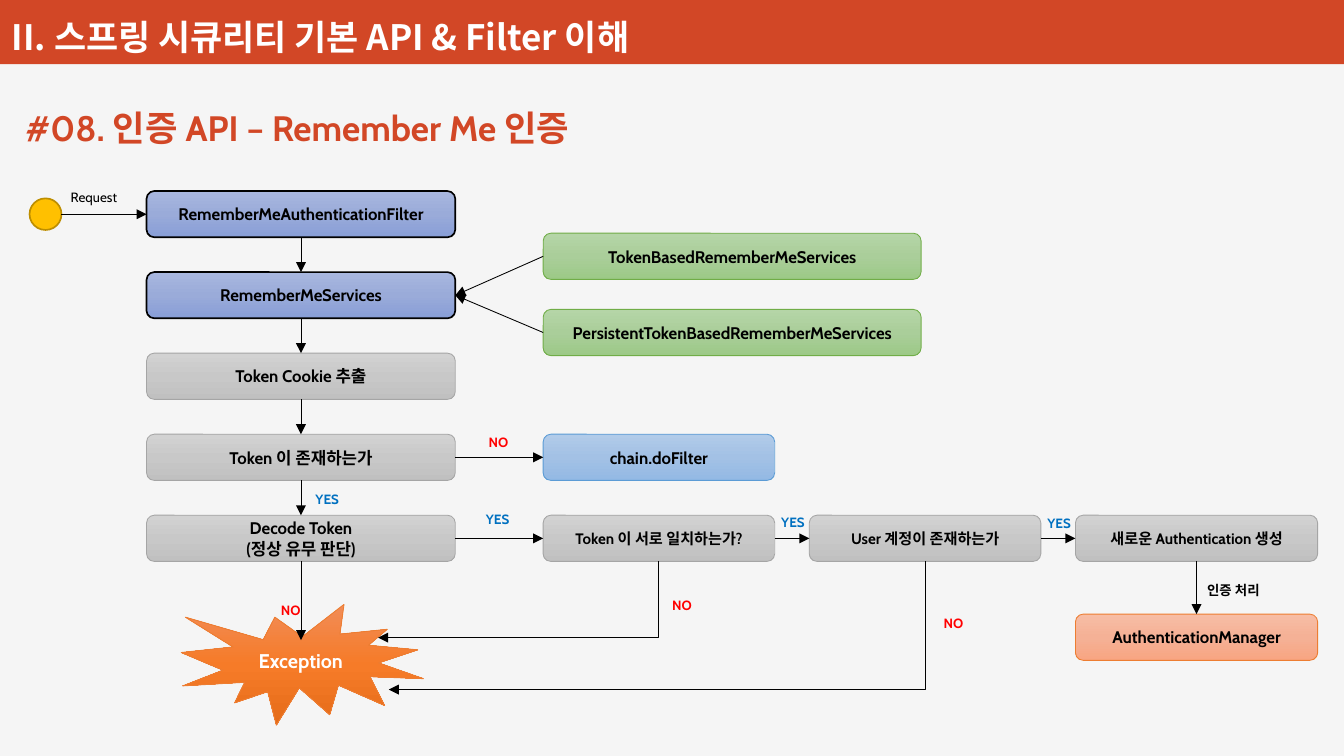
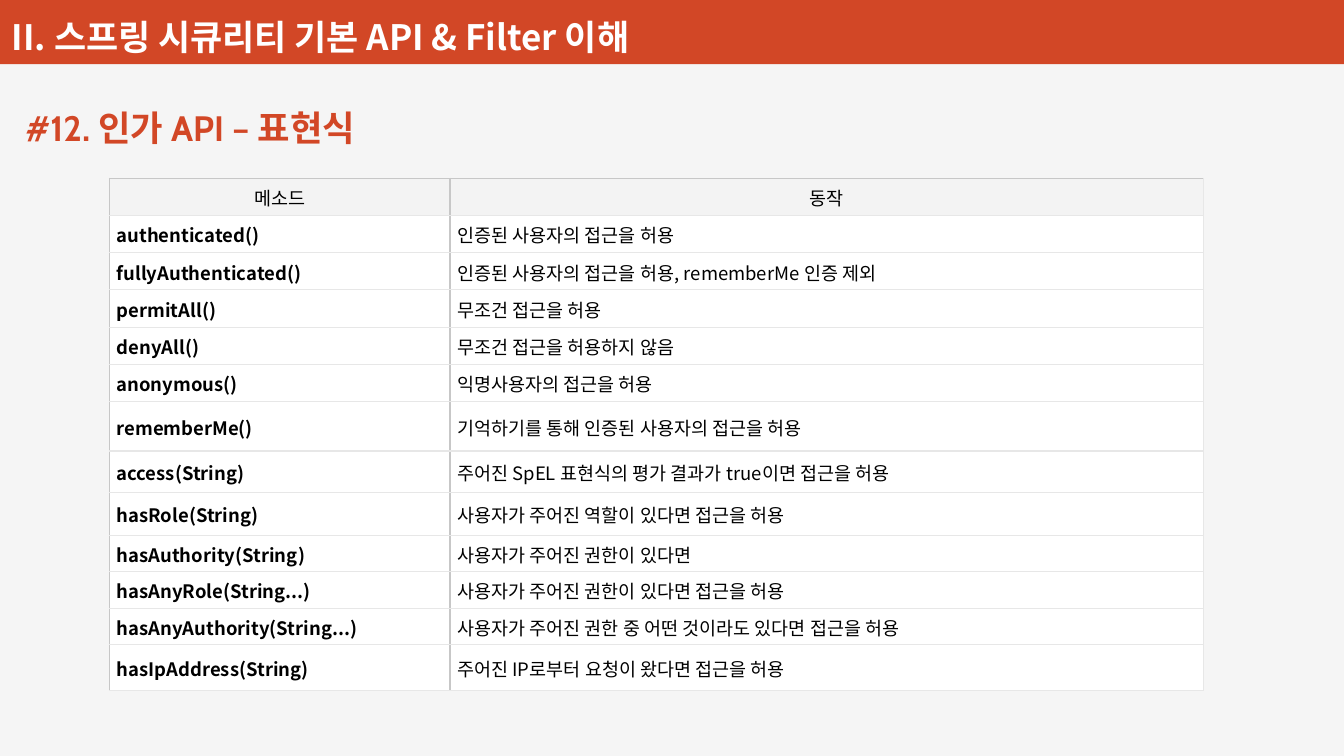
from copy import deepcopy

from lxml.etree import SubElement
from pptx import Presentation
from pptx.dml.color import RGBColor
from pptx.enum.shapes import MSO_CONNECTOR, MSO_SHAPE
from pptx.enum.text import MSO_ANCHOR, MSO_AUTO_SIZE, PP_ALIGN
from pptx.oxml.ns import qn
from pptx.util import Inches, Pt

LATIN, KOREAN = "Cabin", "Noto Sans CJK KR"
ACCENT, PAPER, BLACK, WHITE = "D24726", "F5F5F5", "000000", "FFFFFF"
RED, BLUE = "FF0000", "0070C0"
DARK_RULE, LIGHT_RULE = "C7C7C7", "E7E7E7"
TOP, LEFT, BOTTOM, RIGHT = range(4)

# Box looks: three gradient stops, line colour, line width
INDIGO = (("A8B7DF", "9AABD9", "889ED7"), BLACK, 1)
GREY = (("D2D2D2", "C8C8C8", "C0C0C0"), "A5A5A5", 0.5)
GREEN = (("B5D5A7", "AACE9A", "9CC987"), "70AD47", 0.5)
SKY = (("B1CBE9", "A3C1E5", "93B9E4"), "5B9BD5", 0.5)
PEACH = (("F7BDA5", "F5B196", "F8A582"), "ED7D31", 0.5)
ORANGE = (("F18C57", "F67B28", "E56C19"), "ED7D31", 0.5)

# Grid: origin and pitch of columns and rows, box sizes in grid units
X0, Y0, COL, ROW = 0.09, 1.58, 2.2, 0.67
FLOW, FLOW_W, STEP_W, LAST_W, WIDE_W = 0.51, 1.16, 0.87, 0.91, 1.42
BOX_H = 0.57


def rgb(code):
    return RGBColor.from_string(code)


def x(col):
    return Inches(X0 + COL * col)


def y(row):
    return Inches(Y0 + ROW * row)


def w(cols):
    return Inches(COL * cols)


def h(rows):
    return Inches(ROW * rows)


class Deck:
    def __init__(self):
        self.prs = Presentation()
        self.prs.slide_width = Inches(11.11)
        self.prs.slide_height = Inches(6.25)
        background = self.prs.slide_master.background.fill
        background.solid()
        background.fore_color.rgb = rgb(PAPER)

    def slide(self, title):
        """New slide with the chapter band and a section title."""
        self.s = self.prs.slides.add_slide(self.prs.slide_layouts[6])
        width, height = self.prs.slide_width, self.prs.slide_height
        band = self.s.shapes.add_shape(MSO_SHAPE.RECTANGLE, 0, 0, width, int(height * 0.085))
        band.shadow.inherit = False
        band.fill.solid()
        band.fill.fore_color.rgb = rgb(ACCENT)
        band.line.fill.background()
        sp = self.s.shapes.add_textbox(0, int(height * -0.016), int(width * 0.56), int(height * 0.098))
        tf = sp.text_frame
        tf.word_wrap = True
        tf.vertical_anchor = MSO_ANCHOR.BOTTOM
        tf.margin_top = tf.margin_bottom = Inches(0.04)
        self.add_text(tf, "II. 스프링 시큐리티 기본 API & Filter 이해", 20.8, WHITE, font=KOREAN)
        self.label(title, 0.01, -1.12, 2.36, 0.67, 21, ACCENT)

    def add_text(self, tf, text, size, color, bold=True, font=LATIN, align=PP_ALIGN.LEFT):
        p = tf.paragraphs[0]
        p.alignment = align
        for i, line in enumerate(text.split("\n")):
            if i:
                p.add_line_break()
            r = p.add_run()
            r.text = line
            r.font.size, r.font.bold, r.font.name = Pt(size), bold, font
            r.font.color.rgb = rgb(color)
            SubElement(r.font._element, qn("a:ea")).set("typeface", KOREAN)

    def label(self, text, col, row, cols=0.17, rows=0.36, size=8, color=BLACK, bold=True):
        sp = self.s.shapes.add_textbox(x(col), y(row), w(cols), h(rows))
        sp.text_frame.word_wrap = False
        sp.text_frame.auto_size = MSO_AUTO_SIZE.SHAPE_TO_FIT_TEXT
        self.add_text(sp.text_frame, text, size, color, bold)

    def shape(self, kind, col, row, cols, rows, line, line_width):
        sp = self.s.shapes.add_shape(kind, x(col), y(row), w(cols), h(rows))
        sp.shadow.inherit = False
        sp.line.color.rgb = rgb(line)
        sp.line.width = Pt(line_width)
        return sp

    def box(self, text, col, row, cols, look=GREY, size=10, color=BLACK,
            kind=MSO_SHAPE.ROUNDED_RECTANGLE, rows=BOX_H):
        stops, line, line_width = look
        sp = self.shape(kind, col, row, cols, rows, line, line_width)
        sp.fill.gradient()
        sp.fill.gradient_angle = 270
        gs_list = sp._element.spPr.find(".//" + qn("a:gsLst"))
        gs_list.insert(1, deepcopy(gs_list[0]))
        for stop, position, code in zip(sp.fill.gradient_stops, (0, 0.5, 1), stops):
            stop.position = position
            stop.color.rgb = rgb(code)
        tf = sp.text_frame
        tf.word_wrap = True
        tf.vertical_anchor = MSO_ANCHOR.MIDDLE
        self.add_text(tf, text, size, color, align=PP_ALIGN.CENTER)
        return sp

    def dot(self, col, row, cols, rows):
        sp = self.shape(MSO_SHAPE.OVAL, col, row, cols, rows, "BD8E00", 1)
        sp.fill.solid()
        sp.fill.fore_color.rgb = rgb("FFC000")
        return sp

    def arrow_style(self, cxn):
        cxn.line.color.rgb = rgb(BLACK)
        cxn.line.width = Pt(0.5)
        spPr = cxn._element.spPr
        SubElement(spPr.find(qn("a:ln")), qn("a:tailEnd")).set("type", "triangle")
        SubElement(spPr, qn("a:effectLst"))

    def arrow(self, start, end):
        """Straight arrow; each end is a point or a (shape, side) pair."""
        points = [e if isinstance(e[0], int) else (0, 0) for e in (start, end)]
        cxn = self.s.shapes.add_connector(MSO_CONNECTOR.STRAIGHT, *points[0], *points[1])
        if not isinstance(start[0], int):
            cxn.begin_connect(*start)
        if not isinstance(end[0], int):
            cxn.end_connect(*end)
        self.arrow_style(cxn)

    def down_left(self, sp, col, row):
        """Elbow arrow: down from the box's bottom, then left to a point."""
        x1, y1 = sp.left + sp.width // 2, sp.top + sp.height
        run, drop = x1 - x(col), y(row) - y1
        left, top = x1 - (run + drop) // 2, y1 + (drop - run) // 2
        cxn = self.s.shapes.add_connector(MSO_CONNECTOR.ELBOW, left, top, left + drop, top + run)
        spPr = cxn._element.spPr
        spPr.find(qn("a:prstGeom")).set("prst", "bentConnector2")
        spPr.find(qn("a:xfrm")).set("rot", str(90 * 60000))
        self.arrow_style(cxn)

    def table(self, rows, col, row, cols, heights):
        frame = self.s.shapes.add_table(len(rows), len(cols), x(col), y(row), w(sum(cols)), h(sum(heights)))
        tbl = frame.table
        tbl.first_row = tbl.horz_banding = False
        for column, cols_wide in zip(tbl.columns, cols):
            column.width = w(cols_wide)
        for i, (texts, height) in enumerate(zip(rows, heights)):
            tbl.rows[i].height = h(height)
            for j, text in enumerate(texts):
                self.cell(tbl.cell(i, j), text, header=i == 0, first=j == 0)

    def cell(self, cell, text, header, first):
        cell.vertical_anchor = MSO_ANCHOR.MIDDLE
        cell.margin_left = Inches(0.02 if header else 0.06)
        cell.margin_right = cell.margin_top = Inches(0.02)
        cell.margin_bottom = Inches(0.01)
        cell.fill.solid()
        cell.fill.fore_color.rgb = rgb("F3F3F3" if header else WHITE)
        self.add_text(cell.text_frame, text, 11, BLACK, first and not header, KOREAN,
                      PP_ALIGN.CENTER if header else PP_ALIGN.LEFT)
        tcPr = cell._tc.get_or_add_tcPr()
        borders = (("a:lnL", DARK_RULE), ("a:lnR", DARK_RULE if first else LIGHT_RULE),
                   ("a:lnT", DARK_RULE if header else LIGHT_RULE), ("a:lnB", LIGHT_RULE))
        for i, (tag, code) in enumerate(borders):
            ln = SubElement(tcPr, qn(tag), w=str(int(Pt(0.75))))
            SubElement(SubElement(ln, qn("a:solidFill")), qn("a:srgbClr")).set("val", code)
            tcPr.insert(i, ln)


def remember_me(d):
    d.slide("#08. 인증 API – Remember Me 인증")

    # Main column, top to bottom
    steps = (("RememberMeAuthenticationFilter", INDIGO), ("RememberMeServices", INDIGO),
             ("Token Cookie 추출", GREY), ("Token 이 존재하는가", GREY),
             ("Decode Token\n(정상 유무 판단)", GREY))
    flow = [d.box(text, FLOW, i, FLOW_W, look) for i, (text, look) in enumerate(steps)]
    for a, b in zip(flow, flow[1:]):
        d.arrow((a, BOTTOM), (b, TOP))
    entry, services, _, exists, decode = flow

    # Request
    dot = d.dot(0.07, 0.09, 0.12, 0.39)
    d.arrow((dot.left + dot.width, dot.top + dot.height // 2), (entry, LEFT))
    d.label("Request", 0.18, -0.1, 0.27, bold=False)

    # Service implementations
    for text, row in (("TokenBasedRememberMeServices", 0.52),
                      ("PersistentTokenBasedRememberMeServices", 1.46)):
        d.arrow((d.box(text, 2, row, WIDE_W, GREEN), LEFT), (services, RIGHT))

    # Branches to the right
    chain = d.box("chain.doFilter", 2, 3, STEP_W, SKY)
    d.arrow((exists, RIGHT), (chain, LEFT))
    match = d.box("Token 이 서로 일치하는가?", 2, 4, STEP_W, size=9)
    user = d.box("User 계정이 존재하는가", 3, 4, STEP_W, size=9)
    create = d.box("새로운 Authentication 생성", 4, 4, LAST_W, size=9)
    checks = (decode, match, user, create)
    for a, b in zip(checks, checks[1:]):
        d.arrow((a, RIGHT), (b, LEFT))
    manager = d.box("AuthenticationManager", 4, 5.22, LAST_W, PEACH)
    d.arrow((create, BOTTOM), (manager, TOP))

    # Failures
    d.box("Exception", 0.64, 5.1, 0.91, ORANGE, 11.8, WHITE, MSO_SHAPE.EXPLOSION1, 1.49)
    d.arrow((decode, BOTTOM), (decode.left + decode.width // 2, y(5.54)))
    d.down_left(match, 1.38, 5.51)
    d.down_left(user, 1.42, 6.15)

    # Arrow labels
    for col, row in ((1.75, 2.93), (0.97, 5), (2.44, 4.93), (3.46, 5.16)):
        d.label("NO", col, row, color=RED)
    for col, row in ((1.1, 3.63), (1.74, 3.88), (2.85, 3.91), (3.85, 3.93)):
        d.label("YES", col, row, cols=0.18, color=BLUE)
    d.label("인증 처리", 4.45, 4.75, 0.31)


def expressions(d):
    d.slide("#12. 인가 API – 표현식")
    rows = (
        ("메소드", "동작"),
        ("authenticated()", "인증된 사용자의 접근을 허용"),
        ("fullyAuthenticated()", "인증된 사용자의 접근을 허용, rememberMe 인증 제외"),
        ("permitAll()", "무조건 접근을 허용"),
        ("denyAll()", "무조건 접근을 허용하지 않음"),
        ("anonymous()", "익명사용자의 접근을 허용"),
        ("rememberMe()", "기억하기를 통해 인증된 사용자의 접근을 허용"),
        ("access(String)", "주어진 SpEL 표현식의 평가 결과가 true이면 접근을 허용"),
        ("hasRole(String)", "사용자가 주어진 역할이 있다면 접근을 허용"),
        ("hasAuthority(String)", "사용자가 주어진 권한이 있다면"),
        ("hasAnyRole(String...)", "사용자가 주어진 권한이 있다면 접근을 허용"),
        ("hasAnyAuthority(String...)", "사용자가 주어진 권한 중 어떤 것이라도 있다면 접근을 허용"),
        ("hasIpAddress(String)", "주어진 IP로부터 요청이 왔다면 접근을 허용"),
    )
    heights = [0.46] * 6 + [0.61, 0.51, 0.53] + [0.45] * 3 + [0.57]
    d.table(rows, 0.37, -0.16, (1.28, 2.83), heights)


def main():
    d = Deck()
    remember_me(d)
    expressions(d)
    d.prs.save("out.pptx")


if __name__ == "__main__":
    main()
